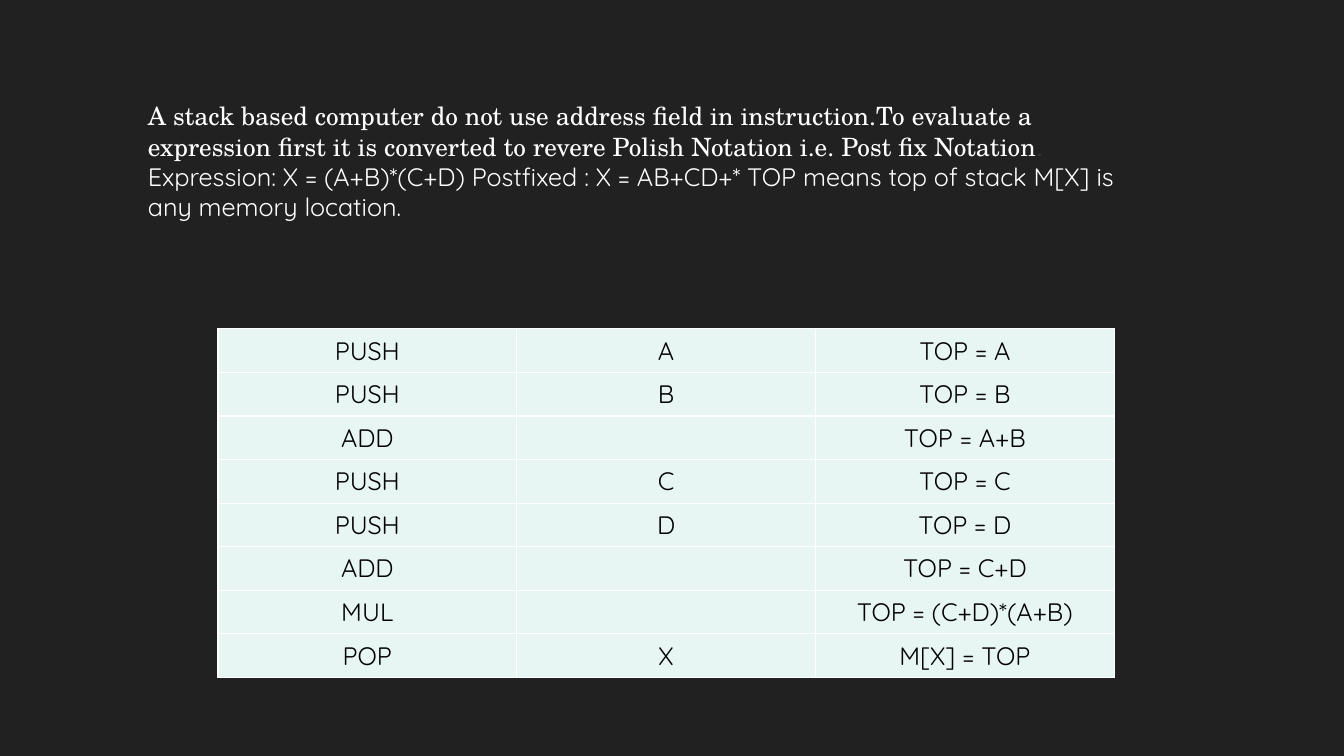
from lxml import etree
from pptx import Presentation
from pptx.dml.color import RGBColor
from pptx.enum.text import MSO_ANCHOR, MSO_AUTO_SIZE, PP_ALIGN
from pptx.oxml.ns import qn
from pptx.util import Pt

CENTER = PP_ALIGN.CENTER
MIDDLE = MSO_ANCHOR.MIDDLE
GROW = MSO_AUTO_SIZE.SHAPE_TO_FIT_TEXT
BLANK = 6

# Content: paragraphs of (text, font, colour) runs, then the program steps
INTRO = [
    [("A stack based computer do not use address field in instruction."
      "To evaluate a expression first it is converted to revere Polish "
      "Notation i.e. Post fix Notation", "serif", "light"),
     (".", "serif", "dim")],
    [("Expression: X = (A+B)*(C+D) Postfixed : X = AB+CD+* TOP means top of "
      "stack M[X] is any memory location.", "sans", "light")],
]
STEPS = [
    ("PUSH", "A", "TOP = A"),
    ("PUSH", "B", "TOP = B"),
    ("ADD", "", "TOP = A+B"),
    ("PUSH", "C", "TOP = C"),
    ("PUSH", "D", "TOP = D"),
    ("ADD", "", "TOP = C+D"),
    ("MUL", "", "TOP = (C+D)*(A+B)"),
    ("POP", "X", "M[X] = TOP"),
]


class Theme:
    colors = {"back": "212121", "light": "FFFFFF", "dim": "353535",
              "dark": "000000", "cell": "E7F5F3", "border": "FFFFFF"}
    fonts = {"serif": "TeX Gyre Schola", "sans": "Quicksand"}
    size = 18
    border = 1


# Layout in points
SLIDE_W, SLIDE_H = 960, 540
INTRO_BOX = (98.6, 68.4, 738, 94.3)
TABLE_X, TABLE_Y = 155.7, 234.9
COL_W, ROW_H = 213.4, 31.13


def color(name):
    return RGBColor.from_string(Theme.colors[name])


def style(r, font, tint):
    r.font.name = Theme.fonts[font]
    r.font.size = Pt(Theme.size)
    r.font.color.rgb = color(tint)


def add_borders(cell):
    props = cell._tc.get_or_add_tcPr()
    for i, side in enumerate(("lnL", "lnR", "lnT", "lnB")):
        line = etree.Element(qn(f"a:{side}"), w=str(Pt(Theme.border)))
        fill = etree.SubElement(line, qn("a:solidFill"))
        etree.SubElement(fill, qn("a:srgbClr"), val=Theme.colors["border"])
        props.insert(i, line)


def add_intro(s):
    tf = s.shapes.add_textbox(*map(Pt, INTRO_BOX)).text_frame
    tf.word_wrap = True
    tf.auto_size = GROW
    for i, runs in enumerate(INTRO):
        p = tf.add_paragraph() if i else tf.paragraphs[0]
        for text, font, tint in runs:
            r = p.add_run()
            r.text = text
            style(r, font, tint)


def add_steps(s):
    rows, cols = len(STEPS), len(STEPS[0])
    table = s.shapes.add_table(rows, cols, Pt(TABLE_X), Pt(TABLE_Y),
                               Pt(cols * COL_W), Pt(rows * ROW_H)).table
    table.first_row = table.horz_banding = False
    for col in table.columns:
        col.width = Pt(COL_W)
    for row, step in zip(table.rows, STEPS):
        row.height = Pt(ROW_H)
        for cell, text in zip(row.cells, step):
            cell.fill.solid()
            cell.fill.fore_color.rgb = color("cell")
            cell.vertical_anchor = MIDDLE
            add_borders(cell)
            cell.text_frame.text = text
            p = cell.text_frame.paragraphs[0]
            p.alignment = CENTER
            for r in p.runs:
                style(r, "sans", "dark")


def main():
    prs = Presentation()
    prs.slide_width, prs.slide_height = Pt(SLIDE_W), Pt(SLIDE_H)
    s = prs.slides.add_slide(prs.slide_layouts[BLANK])

    # Background
    s.background.fill.solid()
    s.background.fill.fore_color.rgb = color("back")

    # Explanation and stack program
    add_intro(s)
    add_steps(s)
    prs.save("out.pptx")


if __name__ == "__main__":
    main()
